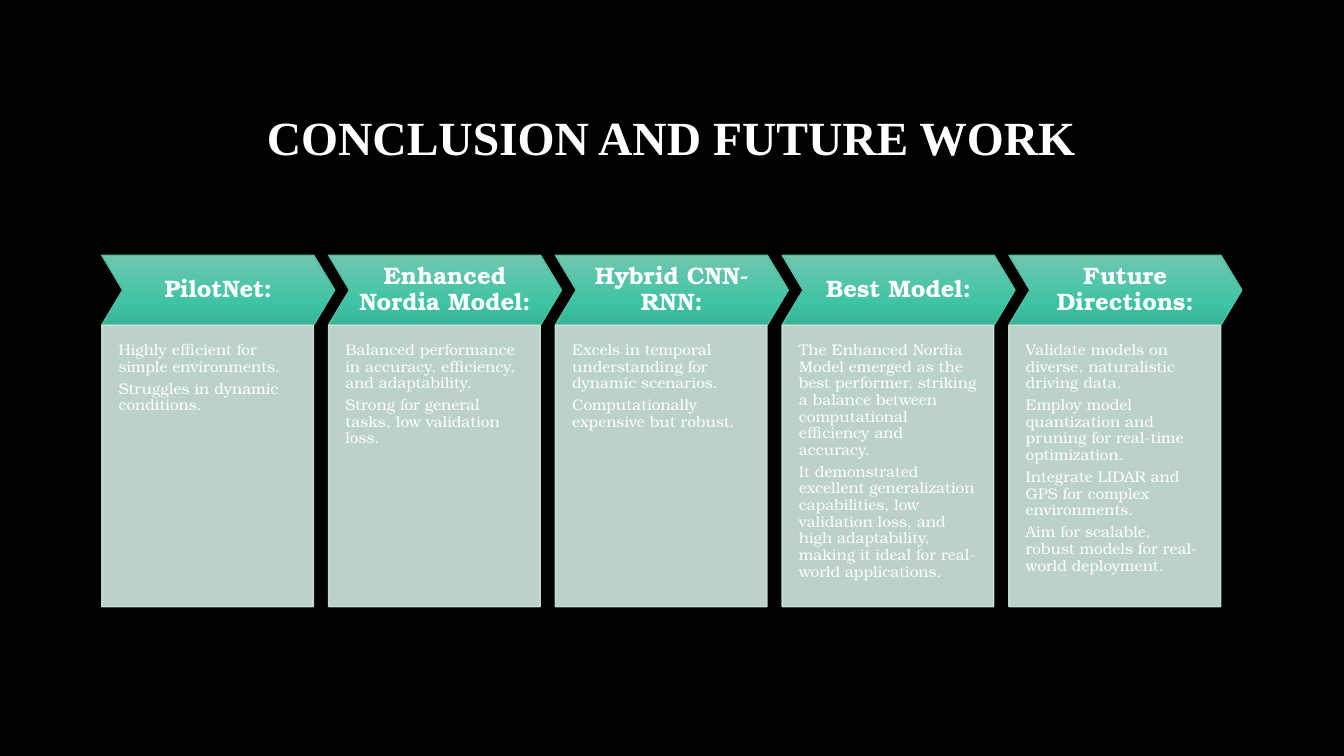
from copy import deepcopy
from dataclasses import dataclass

from pptx import Presentation
from pptx.dml.color import RGBColor
from pptx.enum import shapes, text
from pptx.oxml import ns, xmlchemy
from pptx.oxml.ns import qn
from pptx.shapes.autoshape import Shape
from pptx.util import Pt


@dataclass(frozen=True)
class Theme:
    background: str = "000000"
    ink: str = "FFFFFF"
    header_stops: tuple = ((0, "70C6AF"), (0.69, "3EC4A3"), (1, "37B395"))
    header_line: str = "50BEA3"
    panel: str = "D0E8E0"
    panel_opacity: int = 90
    title_font: str = "Times New Roman"
    body_font: str = "TeX Gyre Bonum"
    title_size: float = 34
    header_size: float = 17
    body_size: float = 11


@dataclass(frozen=True)
class Column:
    heading: str
    points: tuple[str, ...]


THEME = Theme()
LEFT, PITCH = 72.7, 162
HEADER_TOP, HEADER_WIDTH, HEADER_HEIGHT = 182.3, 166.4, 49.8
PANEL_TOP, PANEL_WIDTH, PANEL_HEIGHT = 232.4, 151.2, 200.9

COLUMNS = (
    Column("PilotNet:", (
        "Highly efficient for simple environments.",
        "Struggles in dynamic conditions.")),
    Column("Enhanced Nordia Model:", (
        "Balanced performance in accuracy, efficiency, and adaptability.",
        "Strong for general tasks, low validation loss.")),
    Column("Hybrid CNN-RNN:", (
        "Excels in temporal understanding for dynamic scenarios.",
        "Computationally expensive but robust.")),
    Column("Best Model:", (
        "The Enhanced Nordia Model emerged as the best performer, striking a balance "
        "between computational efficiency and accuracy.",
        "It demonstrated excellent generalization capabilities, low validation loss, "
        "and high adaptability, making it ideal for real-world applications.")),
    Column("Future Directions:", (
        "Validate models on diverse, naturalistic driving data.",
        "Employ model quantization and pruning for real-time optimization.",
        "Integrate LIDAR and GPS for complex environments.",
        "Aim for scalable, robust models for real-world deployment.")),
)


def color(code: str) -> RGBColor:
    return RGBColor.from_string(code)


def write(box: Shape, lines: tuple[str, ...], font: str, size: float, bold: bool,
          align: text.PP_ALIGN, anchor: text.MSO_ANCHOR,
          insets: tuple[float, float, float, float]) -> None:
    """Fill a shape with paragraphs; insets run left, top, right, bottom."""
    frame = box.text_frame
    frame.text = "\n".join(lines)
    frame.word_wrap = True
    frame.vertical_anchor = anchor
    frame.margin_left, frame.margin_top, frame.margin_right, frame.margin_bottom = map(Pt, insets)
    for para in frame.paragraphs:
        para.alignment = align
        para.line_spacing = 0.9
        para.space_before = Pt(0)
        para.space_after = Pt(0.35 * size)
        for span in para.runs:
            span.font.name = font
            span.font.size = Pt(size)
            span.font.bold = bold
            span.font.color.rgb = color(THEME.ink)


def add_block(page, kind: shapes.MSO_SHAPE, left: float, top: float,
              width: float, height: float, line: str) -> Shape:
    box = page.shapes.add_shape(kind, Pt(left), Pt(top), Pt(width), Pt(height))
    box.shadow.inherit = False
    box.line.color.rgb = color(line)
    box.line.width = Pt(1)
    return box


def fill_gradient(box: Shape) -> None:
    """Shade the header from top to bottom through the theme's stops."""
    box.fill.gradient()
    box.fill.gradient_angle = 270
    stop_list = box._element.spPr.find(".//" + qn("a:gsLst"))
    stop_list.append(deepcopy(stop_list[0]))
    for stop, (position, code) in zip(box.fill.gradient_stops, THEME.header_stops):
        stop.position = position
        stop.color.rgb = color(code)


def set_opacity(box: Shape, percent: int) -> None:
    for shade in box._element.spPr.iter(qn("a:srgbClr")):
        alpha = shade.makeelement(qn("a:alpha"), {"val": str(percent * 1000)})
        shade.append(alpha)


def add_column(page, column: Column, left: float) -> None:
    header = add_block(page, shapes.MSO_SHAPE.CHEVRON, left, HEADER_TOP,
                       HEADER_WIDTH, HEADER_HEIGHT, THEME.header_line)
    header.adjustments[0] = 0.3
    fill_gradient(header)
    write(header, (column.heading,), THEME.body_font, THEME.header_size, True,
          text.PP_ALIGN.CENTER, text.MSO_ANCHOR.MIDDLE, (6.5, 6.5, 6.5, 6.5))

    panel = add_block(page, shapes.MSO_SHAPE.RECTANGLE, left, PANEL_TOP,
                      PANEL_WIDTH, PANEL_HEIGHT, THEME.panel)
    panel.fill.solid()
    panel.fill.fore_color.rgb = color(THEME.panel)
    set_opacity(panel, THEME.panel_opacity)
    write(panel, column.points, THEME.body_font, THEME.body_size, False,
          text.PP_ALIGN.LEFT, text.MSO_ANCHOR.TOP, (12, 12, 12, 24))


def add_title(page) -> None:
    title = page.shapes.title
    title.left, title.top, title.width, title.height = map(Pt, (72, 48.2, 815, 104.4))
    write(title, ("CONCLUSION AND FUTURE WORK",), THEME.title_font, THEME.title_size, True,
          text.PP_ALIGN.CENTER, text.MSO_ANCHOR.MIDDLE, (7.2, 3.6, 7.2, 3.6))


def main() -> None:
    deck = Presentation()
    deck.slide_width, deck.slide_height = Pt(960), Pt(540)
    page = deck.slides.add_slide(deck.slide_layouts[5])
    page.background.fill.solid()
    page.background.fill.fore_color.rgb = color(THEME.background)
    add_title(page)
    for index, column in enumerate(COLUMNS):
        add_column(page, column, LEFT + index * PITCH)
    deck.save("out.pptx")


if __name__ == "__main__":
    main()
